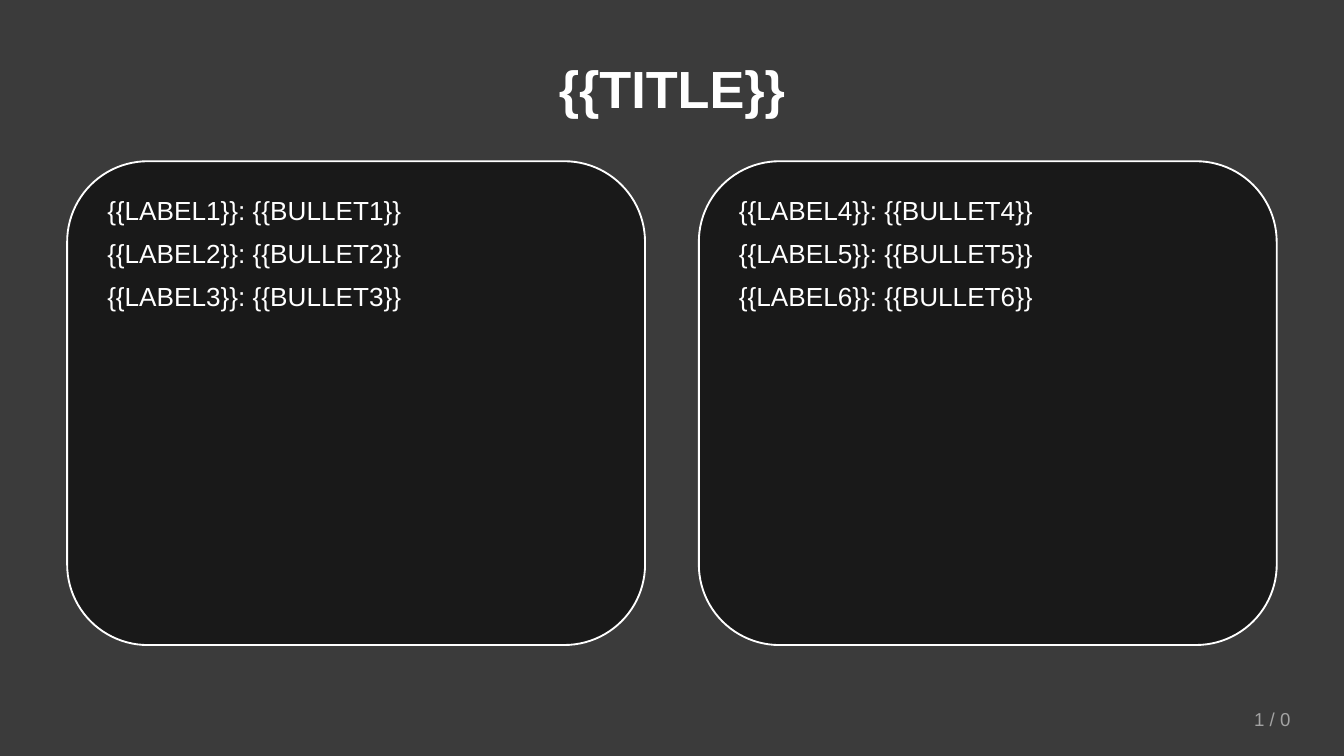
from lxml import etree
from pptx import Presentation
from pptx import util as u
from pptx.dml import color
from pptx.enum import shapes, text
from pptx.oxml import ns

COLORS = {
    "backdrop": "0A0A0A",
    "panel": "141414",
    "white": "FFFFFF",
    "muted": "A3A3A3",
}
FONT = "Arial"
WIDTH = 10
HEIGHT = WIDTH * 9 / 16
PANEL_TOP, PANEL_WIDTH, PANEL_HEIGHT = 1.2, 4.3, 3.6
MARGIN, GAP, PADDING = 0.5, 0.4, 0.2
LINES_PER_PANEL = 3


def rgb(name):
    return color.RGBColor.from_string(COLORS[name])


def add_box(slide, kind, box, fill, opacity):
    shape = slide.shapes.add_shape(kind, *map(u.Inches, box))
    shape.shadow.inherit = False
    shape.fill.solid()
    shape.fill.fore_color.rgb = rgb(fill)
    fill_color = shape.fill._xPr.find(ns.qn("a:solidFill"))[0]
    etree.SubElement(fill_color, ns.qn("a:alpha"), val=str(opacity * 1000))
    shape.line.fill.background()
    return shape


def write_lines(shape, lines, size, fill, align, anchor, bold=False, space_after=0):
    frame = shape.text_frame
    frame.word_wrap = True
    frame.auto_size = text.MSO_AUTO_SIZE.NONE
    frame.vertical_anchor = anchor
    for index, line in enumerate(lines):
        paragraph = frame.add_paragraph() if index else frame.paragraphs[0]
        paragraph.alignment = align
        paragraph.space_before = u.Pt(0)
        paragraph.space_after = u.Pt(space_after)
        run = paragraph.add_run()
        run.text = line
        run.font.name = FONT
        run.font.size = u.Pt(size)
        run.font.bold = bold
        run.font.color.rgb = rgb(fill)


def add_backdrop(slide, box):
    shape = add_box(slide, shapes.MSO_SHAPE.RECTANGLE, box, "backdrop", 80)
    slide.shapes._spTree.insert(2, shape._element)


def add_title(slide, box):
    title = slide.shapes.title
    title.left, title.top, title.width, title.height = map(u.Inches, box)
    write_lines(title, ["{{TITLE}}"], 28, "white", text.PP_ALIGN.CENTER,
                text.MSO_ANCHOR.MIDDLE, bold=True)


def add_panel(slide, box, numbers):
    left, top, width, height = box
    panel = add_box(slide, shapes.MSO_SHAPE.ROUNDED_RECTANGLE, box, "panel", 85)
    panel.line.color.rgb = rgb("white")
    panel.line.width = u.Pt(1)
    inner = (left + PADDING, top + PADDING, width - 2 * PADDING, height - 2 * PADDING)
    body = slide.shapes.add_textbox(*map(u.Inches, inner))
    lines = [f"{{{{LABEL{number}}}}}: {{{{BULLET{number}}}}}" for number in numbers]
    write_lines(body, lines, 14, "white", text.PP_ALIGN.LEFT,
                text.MSO_ANCHOR.TOP, space_after=6)


def add_page_number(slide, box):
    label = slide.shapes.add_textbox(*map(u.Inches, box))
    write_lines(label, ["1 / 0"], 10, "muted", text.PP_ALIGN.RIGHT,
                text.MSO_ANCHOR.MIDDLE)


def main():
    presentation = Presentation()
    presentation.slide_width = u.Inches(WIDTH)
    presentation.slide_height = u.Inches(HEIGHT)
    slide = presentation.slides.add_slide(presentation.slide_layouts[5])
    slide.background.fill.solid()
    slide.background.fill.fore_color.rgb = rgb("white")

    add_backdrop(slide, (0, 0, WIDTH, HEIGHT))
    add_title(slide, (MARGIN, 0.3, WIDTH - 2 * MARGIN, 0.7))
    for column in range(2):
        left = MARGIN + column * (PANEL_WIDTH + GAP)
        first = 1 + column * LINES_PER_PANEL
        add_panel(slide, (left, PANEL_TOP, PANEL_WIDTH, PANEL_HEIGHT),
                  range(first, first + LINES_PER_PANEL))
    add_page_number(slide, (8.5, 5.2, 1.2, 0.3))
    presentation.save("out.pptx")


if __name__ == "__main__":
    main()
